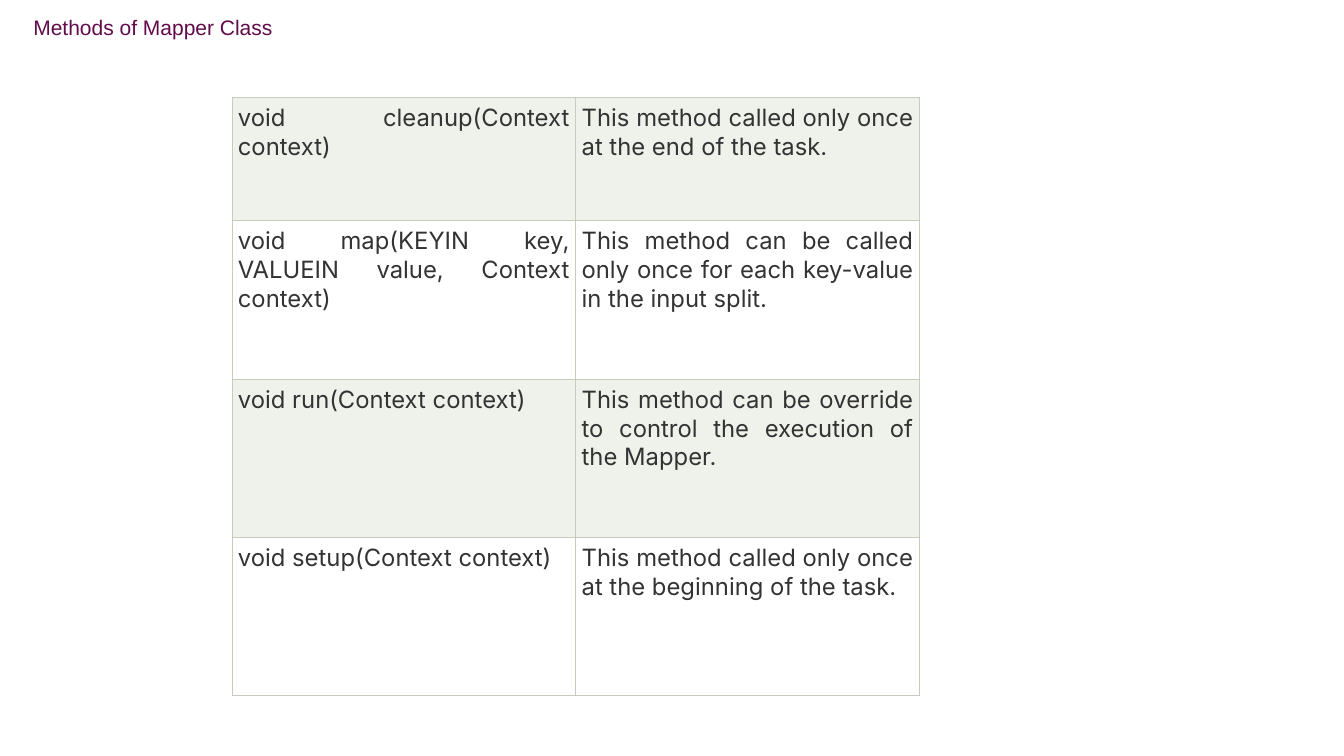
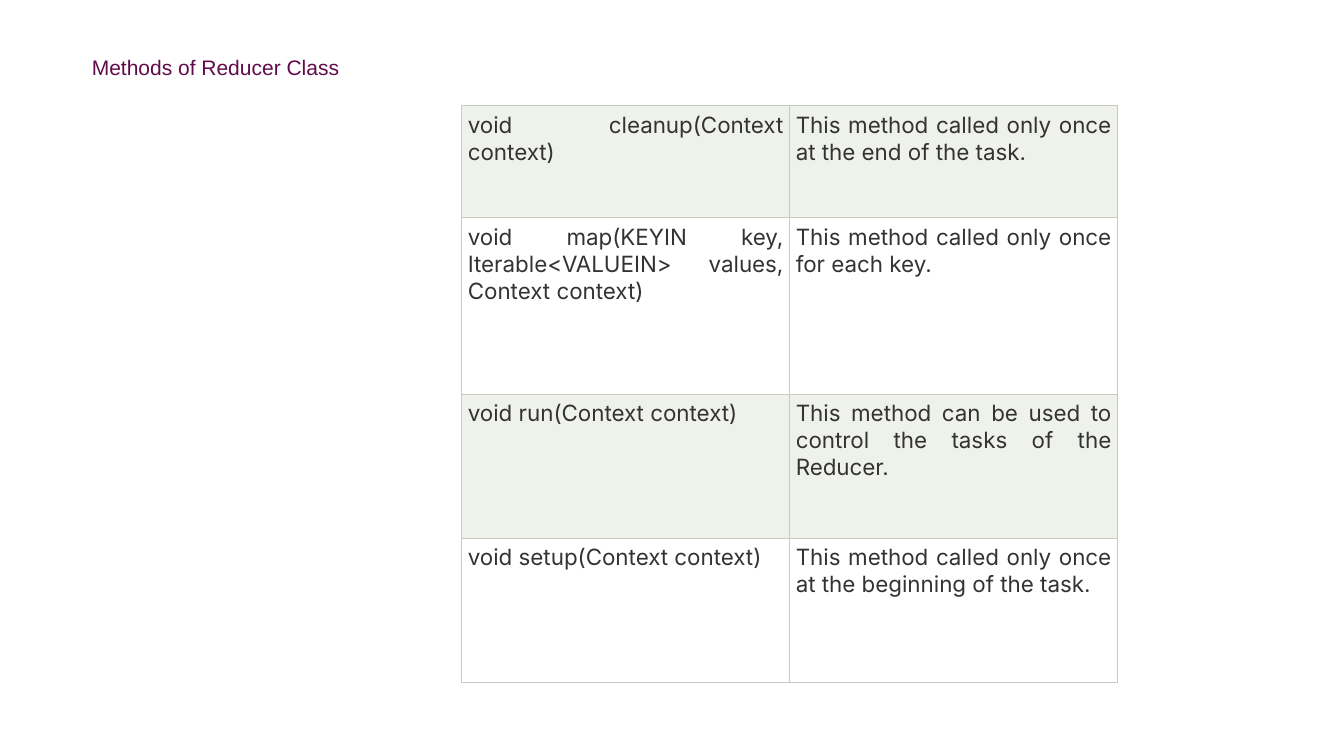
from dataclasses import dataclass

from lxml import etree
from pptx import Presentation
from pptx.dml.color import RGBColor
from pptx.enum.text import MSO_ANCHOR, MSO_AUTO_SIZE, PP_ALIGN
from pptx.oxml.ns import qn
from pptx.util import Inches, Pt

TOP = MSO_ANCHOR.TOP
NO_FIT = MSO_AUTO_SIZE.NONE
LEFT, JUSTIFY = PP_ALIGN.LEFT, PP_ALIGN.JUSTIFY
TITLE_ONLY = 5
SLIDE_W, SLIDE_H = Inches(13.33), Inches(7.5)


@dataclass(frozen=True)
class Theme:
    """Colours, fonts and sizes shared by the slides."""
    title_color: str = "610B4B"
    text_color: str = "333333"
    border_color: str = "C7CCBE"
    bands: tuple = ("EFF1EB", "FFFFFF")
    paper: str = "FFFFFF"
    title_font: str = "Arial"
    body_font: str = "Inter"
    title_size: int = 15
    border_width: float = 0.6
    cell_inset: float = 0.06
    title_height: float = 6.67


THEME = Theme()

SLIDES = [
    dict(
        title="Methods of Mapper Class",
        title_at=(1.73, 1.87),
        table_at=(17.25, 12.93),
        table_width=51.16,
        row_heights=(16.27, 20.93, 20.93, 20.93),
        size=17,
        rows=[
            ("void cleanup(Context context)",
             "This method called only once at the end of the task."),
            ("void map(KEYIN key, VALUEIN value, Context context)",
             "This method can be called only once for each key-value in the input split."),
            ("void run(Context context)",
             "This method can be override to control the execution of the Mapper."),
            ("void setup(Context context)",
             "This method called only once at the beginning of the task."),
        ],
    ),
    dict(
        title="Methods of Reducer Class",
        title_at=(6.08, 7.2),
        table_at=(34.36, 14),
        table_width=48.8,
        row_heights=(14.8, 23.33, 19.07, 19.07),
        size=16,
        rows=[
            ("void cleanup(Context context)",
             "This method called only once at the end of the task."),
            ("void map(KEYIN key, Iterable<VALUEIN> values, Context context)",
             "This method called only once for each key."),
            ("void run(Context context)",
             "This method can be used to control the tasks of the Reducer."),
            ("void setup(Context context)",
             "This method called only once at the beginning of the task."),
        ],
    ),
]


def across(percent):
    """Return a share of the slide width."""
    return int(SLIDE_W * percent / 100)


def down(percent):
    """Return a share of the slide height."""
    return int(SLIDE_H * percent / 100)


def paint(obj, color):
    """Give a shape, cell or background a solid fill."""
    obj.fill.solid()
    obj.fill.fore_color.rgb = RGBColor.from_string(color)


def style_text(p, font, size, color, align):
    """Format a paragraph and its runs."""
    p.alignment = align
    for r in p.runs:
        r.font.name = font
        r.font.size = Pt(size)
        r.font.color.rgb = RGBColor.from_string(color)


def add_borders(cell):
    """Draw a thin line on all four sides of a cell."""
    props = cell._tc.get_or_add_tcPr()
    for i, side in enumerate(("a:lnL", "a:lnR", "a:lnT", "a:lnB")):
        ln = etree.Element(qn(side), w=str(Pt(THEME.border_width)))
        fill = etree.SubElement(ln, qn("a:solidFill"))
        etree.SubElement(fill, qn("a:srgbClr"), val=THEME.border_color)
        props.insert(i, ln)


def place_title(s, text, at):
    """Move the title placeholder and run it to the right edge."""
    sp = s.shapes.title
    left, top = at
    sp.left, sp.top = across(left), down(top)
    sp.width, sp.height = across(100 - left), down(THEME.title_height)
    paint(sp, THEME.paper)
    tf = sp.text_frame
    tf.text = text
    tf.word_wrap = True
    tf.auto_size = NO_FIT
    tf.vertical_anchor = TOP
    tf.margin_top = tf.margin_bottom = 0
    style_text(tf.paragraphs[0], THEME.title_font, THEME.title_size,
               THEME.title_color, LEFT)


def fill_cell(cell, text, size, band):
    """Write one table cell on its band colour."""
    cell.text_frame.text = text
    cell.vertical_anchor = TOP
    inset = Inches(THEME.cell_inset)
    cell.margin_left = cell.margin_right = inset
    cell.margin_top = cell.margin_bottom = inset
    paint(cell, band)
    add_borders(cell)
    style_text(cell.text_frame.paragraphs[0], THEME.body_font, size,
               THEME.text_color, JUSTIFY)


def place_table(s, rows, at, width, heights, size):
    """Add a method table with equal columns and banded rows."""
    cols = len(rows[0])
    frame = s.shapes.add_table(len(rows), cols, across(at[0]), down(at[1]),
                               across(width), down(sum(heights)))
    table = frame.table
    table.first_row = table.horz_banding = False
    for col in table.columns:
        col.width = across(width / cols)
    for i, (texts, height) in enumerate(zip(rows, heights)):
        table.rows[i].height = down(height)
        for j, text in enumerate(texts):
            fill_cell(table.cell(i, j), text, size,
                      THEME.bands[i % len(THEME.bands)])


def add_methods_slide(prs, data):
    """Add a slide with a title and its table of methods."""
    s = prs.slides.add_slide(prs.slide_layouts[TITLE_ONLY])
    paint(s.background, THEME.paper)
    place_title(s, data["title"], data["title_at"])
    place_table(s, data["rows"], data["table_at"], data["table_width"],
                data["row_heights"], data["size"])


def main():
    """Build and save the presentation."""
    prs = Presentation()
    prs.slide_width, prs.slide_height = SLIDE_W, SLIDE_H
    for data in SLIDES:
        add_methods_slide(prs, data)
    prs.save("out.pptx")


if __name__ == "__main__":
    main()
